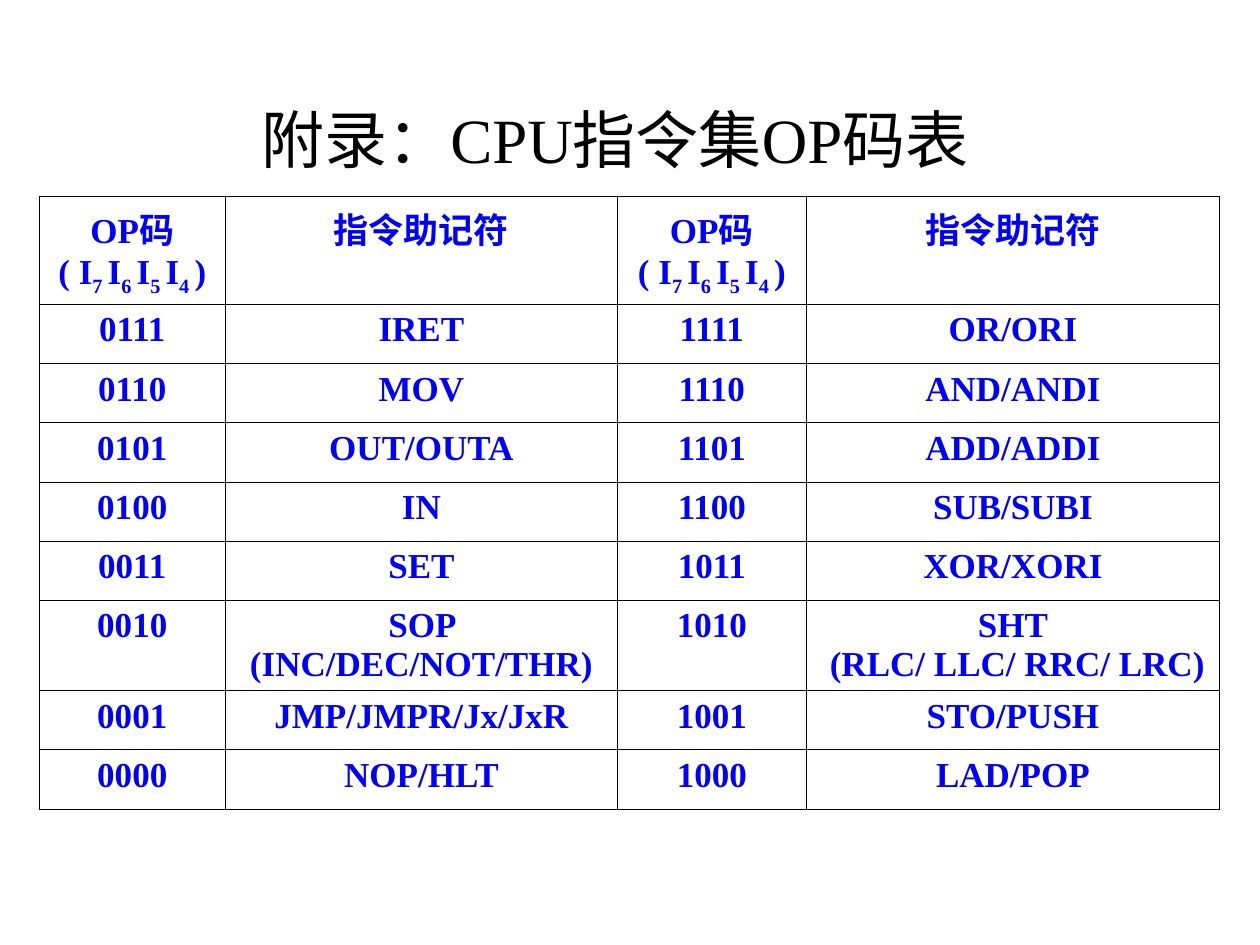
import pptx
import pptx.util
import pptx.dml.color
import pptx.enum.text
import pptx.oxml
import pptx.oxml.ns

Inches, Pt = pptx.util.Inches, pptx.util.Pt
COLORS = {"title": "000000", "text": "0000FF", "line": "000000"}
FONT = "Times New Roman"
TITLE = "附录：CPU指令集OP码表"
BITS = ["( I", "7 ", "I", "6 ", "I", "5 ", "I", "4 ", ")"]
CODE = [["OP码"], BITS]
NAME = [["指令助记符"]]
LOW = ["IRET", "MOV", "OUT/OUTA", "IN", "SET",
       "SOP (INC/DEC/NOT/THR)", "JMP/JMPR/Jx/JxR", "NOP/HLT"]
HIGH = ["OR/ORI", "AND/ANDI", "ADD/ADDI", "SUB/SUBI", "XOR/XORI",
        "SHT\n (RLC/ LLC/ RRC/ LRC)", "STO/PUSH", "LAD/POP"]
COLS = [1.48, 3.11, 1.5, 3.28]
ROWS = [0.76] + [0.47] * 5 + [0.66] + [0.47] * 2


def lines(text):
    return [[line] for line in text.split("\n")]


def add_run(para, text, size, color, bold=False):
    run = para.add_run()
    run.text = text
    run.font.name = FONT
    run.font.size = Pt(size)
    run.font.bold = bold
    run.font.color.rgb = pptx.dml.color.RGBColor.from_string(COLORS[color])
    return run


def add_edges(cell):
    props = cell._tc.get_or_add_tcPr()
    for side in ("lnL", "lnR", "lnT", "lnB"):
        props.append(pptx.oxml.parse_xml(
            f'<a:{side} {pptx.oxml.ns.nsdecls("a")} w="{Pt(0.45)}"><a:solidFill>'
            f'<a:srgbClr val="{COLORS["line"]}"/></a:solidFill></a:{side}>'))


def fill_cell(cell, paras):
    add_edges(cell)
    cell.fill.background()
    cell.margin_left = cell.margin_right = Inches(0.08)
    cell.margin_top = cell.margin_bottom = Inches(0.05)
    frame = cell.text_frame
    for i, parts in enumerate(paras):
        para = frame.add_paragraph() if i else frame.paragraphs[0]
        para.alignment = pptx.enum.text.PP_ALIGN.CENTER
        for j, part in enumerate(parts):
            run = add_run(para, part, 20, "text", True)
            if j % 2:
                run.font._element.set("baseline", "-25000")


def main():
    deck = pptx.Presentation()
    deck.slide_width, deck.slide_height = Inches(10), Inches(7.5)
    slide = deck.slides.add_slide(deck.slide_layouts[5])

    title = slide.shapes.title
    title.left, title.top = Inches(0.63), Inches(0.7)
    title.width, title.height = Inches(8.5), Inches(0.8)
    title.text_frame.vertical_anchor = pptx.enum.text.MSO_ANCHOR.MIDDLE
    para = title.text_frame.paragraphs[0]
    para.alignment = pptx.enum.text.PP_ALIGN.CENTER
    add_run(para, TITLE, 36, "title")

    table = slide.shapes.add_table(
        len(ROWS), len(COLS), Inches(0.31), Inches(1.56),
        Inches(sum(COLS)), Inches(sum(ROWS))).table
    table.first_row = table.horz_banding = False
    for col, width in zip(table.columns, COLS):
        col.width = Inches(width)
    for row, height in zip(table.rows, ROWS):
        row.height = Inches(height)

    grid = [[CODE, NAME, CODE, NAME]]
    for i, (low, high) in enumerate(zip(LOW, HIGH)):
        grid.append([lines(f"{7 - i:04b}"), lines(low),
                     lines(f"{15 - i:04b}"), lines(high)])
    for r, row in enumerate(grid):
        for c, paras in enumerate(row):
            fill_cell(table.cell(r, c), paras)

    deck.save("out.pptx")


if __name__ == "__main__":
    main()
